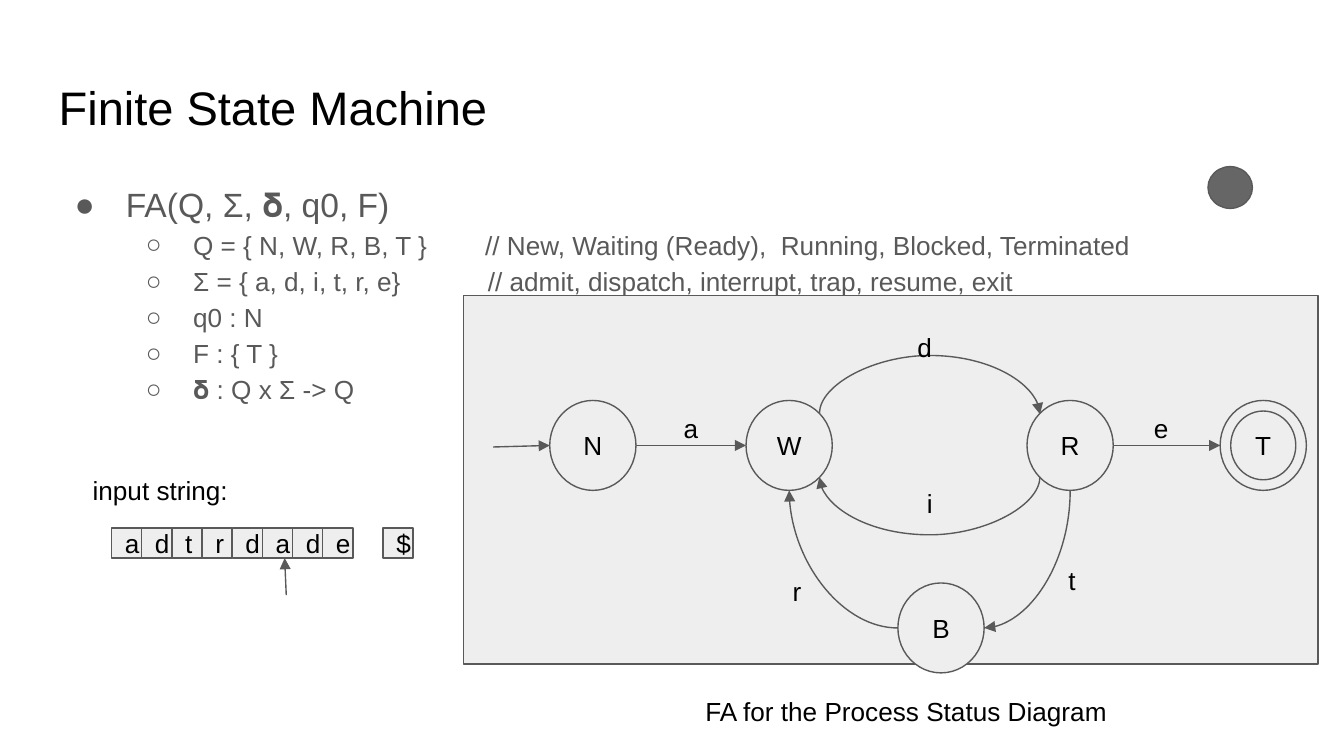
from collections import namedtuple
from dataclasses import dataclass

from lxml.etree import SubElement
from pptx import Presentation
from pptx.dml.color import RGBColor
from pptx.enum.shapes import MSO_CONNECTOR as Link, MSO_SHAPE as Shape
from pptx.enum.text import MSO_ANCHOR as Anchor, PP_ALIGN as Align
from pptx.oxml.ns import qn
from pptx.util import Cm, Pt

Box = namedtuple("Box", "left top width height")


@dataclass(frozen=True)
class Theme:
    """Colours, type sizes and line width of the deck."""
    ink: str = "000000"
    soft: str = "595959"
    pale: str = "EEEEEE"
    dot: str = "666666"
    font: str = "Arial"
    title: float = 25.2
    lead: float = 18
    text: float = 14
    line: float = 0.75


THEME = Theme()


def inside(box, left, top, width, height):
    """Return a box placed relative to another one."""
    return Box(box.left + left, box.top + top, width, height)


def add_span(para, text, size=THEME.text, color=THEME.ink):
    """Append one styled run to a paragraph."""
    span = para.add_run()
    span.text = text
    span.font.name = THEME.font
    span.font.size = Pt(size)
    span.font.color.rgb = RGBColor.from_string(color)


def set_frame(shape, anchor=Anchor.TOP):
    """Give a shape's text frame wrapping and even margins."""
    frame = shape.text_frame
    frame.word_wrap = True
    frame.vertical_anchor = anchor
    frame.margin_left = frame.margin_right = Cm(0.25)
    frame.margin_top = frame.margin_bottom = Cm(0.25)
    return frame


def add_label(page, box, text, size=THEME.text):
    """Add a one-line text box."""
    label = page.shapes.add_textbox(*map(Cm, box))
    add_span(set_frame(label).paragraphs[0], text, size)


def add_block(page, kind, box, text="", align=Align.CENTER, fill=THEME.pale):
    """Add an outlined preset shape with optional text."""
    block = page.shapes.add_shape(kind, *map(Cm, box))
    block.shadow.inherit = False
    block.fill.solid()
    block.fill.fore_color.rgb = RGBColor.from_string(fill)
    block.line.color.rgb = RGBColor.from_string(THEME.soft)
    block.line.width = Pt(THEME.line)
    if text:
        para = set_frame(block, Anchor.MIDDLE).paragraphs[0]
        para.alignment = align
        add_span(para, text)


def add_arrow(page, start, end, kind=Link.STRAIGHT):
    """Add a connector with a triangle at its end."""
    arrow = page.shapes.add_connector(kind, *map(Cm, (*start, *end)))
    arrow.line.color.rgb = RGBColor.from_string(THEME.soft)
    arrow.line.width = Pt(THEME.line)
    SubElement(arrow.line._get_or_add_ln(), qn("a:tailEnd"), type="triangle")
    SubElement(arrow._element.spPr, qn("a:effectLst"))
    return arrow


def add_curve(page, start, end, turn, flip=False, bulge=None):
    """Add a curved arrow: a quarter bend, or an arch when bulge is given."""
    arrow = add_arrow(page, start, end, Link.CURVE)
    width, height = abs(end[0] - start[0]), abs(end[1] - start[1])
    middle = (start[0] + end[0]) / 2, (start[1] + end[1]) / 2
    if turn % 180:
        width, height = height, width
    width = max(width, 0.01)
    arrow.left, arrow.top = Cm(middle[0] - width / 2), Cm(middle[1] - height / 2)
    arrow.width, arrow.height = Cm(width), Cm(height)
    frame = arrow._element.spPr.find(qn("a:xfrm"))
    for name in ("flipH", "flipV"):
        frame.attrib.pop(name, None)
    frame.set("rot", str(turn * 60000))
    if flip:
        frame.set("flipH", "1")
    outline = arrow._element.spPr.find(qn("a:prstGeom"))
    if bulge is None:
        outline.set("prst", "curvedConnector2")
    else:
        SubElement(outline.find(qn("a:avLst")), qn("a:gd"), name="adj1",
                   fmla=f"val {round(bulge / width * 100000)}")


def add_bullet(para, mark, margin, hang, tab=None):
    """Set the bullet, hanging indent and optional tab stop of a paragraph."""
    props = para._p.get_or_add_pPr()
    props.set("marL", str(Cm(margin)))
    props.set("indent", str(-Cm(hang)))
    color = SubElement(props, qn("a:buClr"))
    SubElement(color, qn("a:srgbClr"), val=THEME.soft)
    SubElement(props, qn("a:buFont"), typeface=THEME.font)
    SubElement(props, qn("a:buChar"), char=mark)
    if tab:
        stops = SubElement(props, qn("a:tabLst"))
        SubElement(stops, qn("a:tab"), pos=str(Cm(tab)), algn="l")


def add_definition(page, box):
    """Write the bulleted definition of the automaton."""
    frame = set_frame(page.shapes.add_textbox(*map(Cm, box)))
    items = [
        ("Q = { N, W, R, B, T }\t// New, Waiting (Ready),  Running, Blocked, Terminated", 8.06),
        ("Σ = { a, d, i, t, r, e}\t// admit, dispatch, interrupt, trap, resume, exit", 8.11),
        ("q0 : N", None),
        ("F : { T }", None),
        ("𝛅 : Q x Σ -> Q", None),
    ]
    lead = frame.paragraphs[0]
    lead.line_spacing = 1.15
    add_bullet(lead, "●", 1.27, 0.97)
    add_span(lead, "FA(Q, Σ, 𝛅, q0, F)", THEME.lead, THEME.soft)
    for text, tab in items:
        para = frame.add_paragraph()
        para.level = 1
        para.line_spacing = 1.15
        add_bullet(para, "○", 2.54, 0.89, tab)
        add_span(para, text, color=THEME.soft)


def add_diagram(page, box):
    """Draw the state diagram on its panel."""
    add_block(page, Shape.RECTANGLE, box)
    wide, high, rim = 1.63, 1.7, 0.2
    row = 1.98
    places = {"N": (1.63, row), "W": (5.34, row), "R": (10.65, row),
              "T": (14.3, row), "B": (8.21, 5.43)}
    states = {name: inside(box, *place, wide, high) for name, place in places.items()}
    for name, state in states.items():
        add_block(page, Shape.OVAL, state, "" if name == "T" else name)
    add_block(page, Shape.OVAL,
              inside(states["T"], rim, rim, wide - 2 * rim, high - 2 * rim), "T")

    def at(name, across, down):
        state = states[name]
        return state.left + across * wide, state.top + down * high

    near, far = 0.15, 0.85
    entry = at("N", 0, 0.5)
    add_arrow(page, (entry[0] - 1.07, entry[1] + 0.03), entry)
    for source, target in ("NW", "RT"):
        add_arrow(page, at(source, 1, 0.5), at(target, 0, 0.5))
    add_curve(page, at("W", far, near), at("R", near, near), 270, True, -1.1)
    add_curve(page, at("R", near, far), at("W", far, far), 90, False, 1.1)
    add_curve(page, at("R", 0.5, 1), at("B", 1, 0.5), 90)
    add_curve(page, at("B", 0, 0.5), at("W", 0.5, 1), 180)

    letters = {"a": (3.91, 1.95), "d": (8.33, 0.43), "i": (8.51, 3.38),
               "e": (12.8, 1.95), "t": (11.18, 4.82), "r": (5.97, 5.03)}
    for letter, place in letters.items():
        add_label(page, inside(box, *place, 0.94, 1.12), letter)
    add_label(page, inside(box, 4.32, 7.31, 11.4, 1.12), "FA for the Process Status Diagram")


def add_tape(page, box):
    """Draw the input string as cells with a reading pointer."""
    add_label(page, inside(box, 0, 0, 3.48, 1.12), "input string:")
    cell, top = 0.57, 1.27
    for index, letter in enumerate("adtrdade $"):
        if letter != " ":
            add_block(page, Shape.RECTANGLE,
                      inside(box, 0.61 + index * cell, top, cell, cell), letter, Align.LEFT)
    tip = box.left + 3.88, box.top + top + cell
    add_arrow(page, (tip[0] + 0.03, tip[1] + 0.7), tip)


def main():
    """Build the slide and save the deck."""
    deck = Presentation()
    deck.slide_width, deck.slide_height = Cm(25.4), Cm(14.29)
    page = deck.slides.add_slide(deck.slide_layouts[6])
    add_definition(page, Box(0.86, 3.12, 23.67, 9.5))
    add_label(page, Box(0.86, 1.24, 23.67, 1.6), "Finite State Machine", THEME.title)
    add_diagram(page, Box(8.76, 5.59, 16.15, 6.96))
    add_tape(page, Box(1.5, 8.71, 6.4, 2.55))
    add_block(page, Shape.OVAL, Box(22.83, 3.15, 0.84, 0.79), fill=THEME.dot)
    deck.save("out.pptx")


if __name__ == "__main__":
    main()
